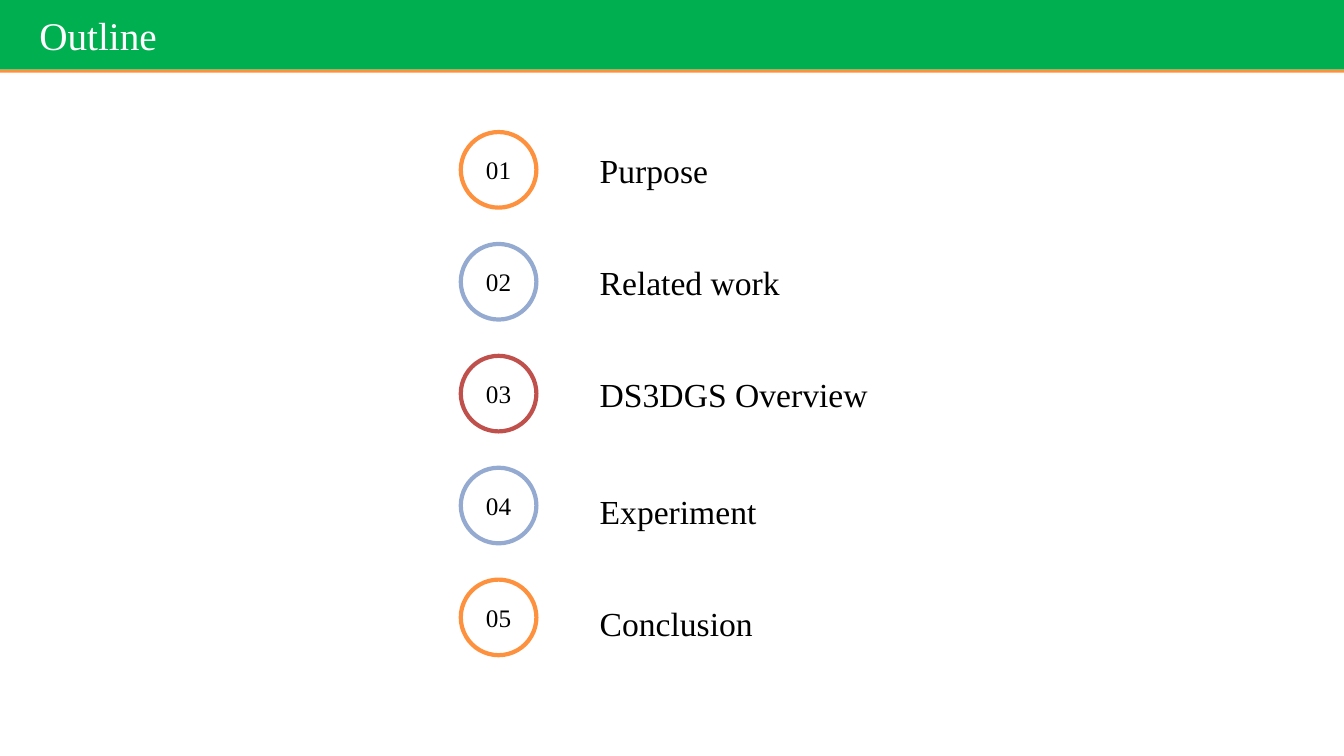
from pptx import Presentation
from pptx.dml.color import RGBColor
from pptx.enum.shapes import MSO_SHAPE
from pptx.enum.text import MSO_ANCHOR, MSO_AUTO_SIZE, PP_ALIGN
from pptx.util import Inches, Pt

RECTANGLE, OVAL = MSO_SHAPE.RECTANGLE, MSO_SHAPE.OVAL
MIDDLE = MSO_ANCHOR.MIDDLE
LEFT, CENTER = PP_ALIGN.LEFT, PP_ALIGN.CENTER
NO_FIT = MSO_AUTO_SIZE.NONE

GREEN = RGBColor(0x00, 0xB0, 0x50)
ORANGE = RGBColor(0xFE, 0x91, 0x3E)
BLUE = RGBColor(0x94, 0xAA, 0xD1)
RED = RGBColor(0xC0, 0x50, 0x4C)
BLACK = RGBColor(0x00, 0x00, 0x00)
WHITE = RGBColor(0xFF, 0xFF, 0xFF)

WIDTH, HEIGHT = 13.33, 7.5
BANNER_HEIGHT, RULE_HEIGHT = 0.69, 0.03
FIRST_ROW, ROW_PITCH = 1.31, 1.11
NUMBER_COLUMN, LABEL_COLUMN = 4.57, 5.85
CIRCLE, LABEL_WIDTH, LABEL_HEIGHT = 0.75, 3.57, 0.5

# Label, ring colour, drop of the label below the middle of its row
TOPICS = [
    ("Purpose", ORANGE, 0),
    ("Related work", BLUE, 0),
    ("DS3DGS Overview", RED, 0),
    ("Experiment", BLUE, 0.06),
    ("Conclusion", ORANGE, 0.06),
]


class OutlineSlide:
    font = "Times New Roman"

    def __init__(self, prs):
        self.s = prs.slides.add_slide(prs.slide_layouts[5])

    def row(self, index, height):
        """Top of an element of this height centred on a row."""
        return FIRST_ROW + index * ROW_PITCH + (CIRCLE - height) / 2

    def set_text(self, sp, text, size, color, align):
        tf = sp.text_frame
        tf.text = text
        tf.word_wrap = True
        tf.auto_size = NO_FIT
        tf.vertical_anchor = MIDDLE
        p = tf.paragraphs[0]
        p.alignment = align
        for r in p.runs:
            r.font.name = self.font
            r.font.size = Pt(size)
            r.font.color.rgb = color
        return tf

    def shape(self, kind, left, top, width, height):
        sp = self.s.shapes.add_shape(
            kind, Inches(left), Inches(top), Inches(width), Inches(height))
        sp.shadow.inherit = False
        return sp

    def banner(self, text):
        sp = self.s.shapes.title
        sp.left, sp.top = 0, 0
        sp.width, sp.height = Inches(WIDTH), Inches(BANNER_HEIGHT)
        sp.fill.solid()
        sp.fill.fore_color.rgb = GREEN
        tf = self.set_text(sp, text, 28, WHITE, LEFT)
        tf.margin_left = Inches(0.39)
        rule = self.shape(RECTANGLE, 0, BANNER_HEIGHT, WIDTH, RULE_HEIGHT)
        rule.fill.solid()
        rule.fill.fore_color.rgb = ORANGE
        rule.line.fill.background()

    def number(self, index, color):
        sp = self.shape(OVAL, NUMBER_COLUMN, self.row(index, CIRCLE), CIRCLE, CIRCLE)
        sp.fill.background()
        sp.line.color.rgb = color
        sp.line.width = Pt(3)
        tf = self.set_text(sp, f"{index + 1:02d}", 18, BLACK, CENTER)
        tf.margin_left = tf.margin_right = 0

    def label(self, index, text, drop):
        sp = self.s.shapes.add_textbox(
            Inches(LABEL_COLUMN), Inches(self.row(index, LABEL_HEIGHT) + drop),
            Inches(LABEL_WIDTH), Inches(LABEL_HEIGHT))
        self.set_text(sp, text, 24, BLACK, LEFT)


def main():
    prs = Presentation()
    prs.slide_width, prs.slide_height = Inches(WIDTH), Inches(HEIGHT)
    outline = OutlineSlide(prs)
    outline.banner("Outline")
    for index, (text, color, drop) in enumerate(TOPICS):
        outline.number(index, color)
        outline.label(index, text, drop)
    prs.save("out.pptx")


if __name__ == "__main__":
    main()
